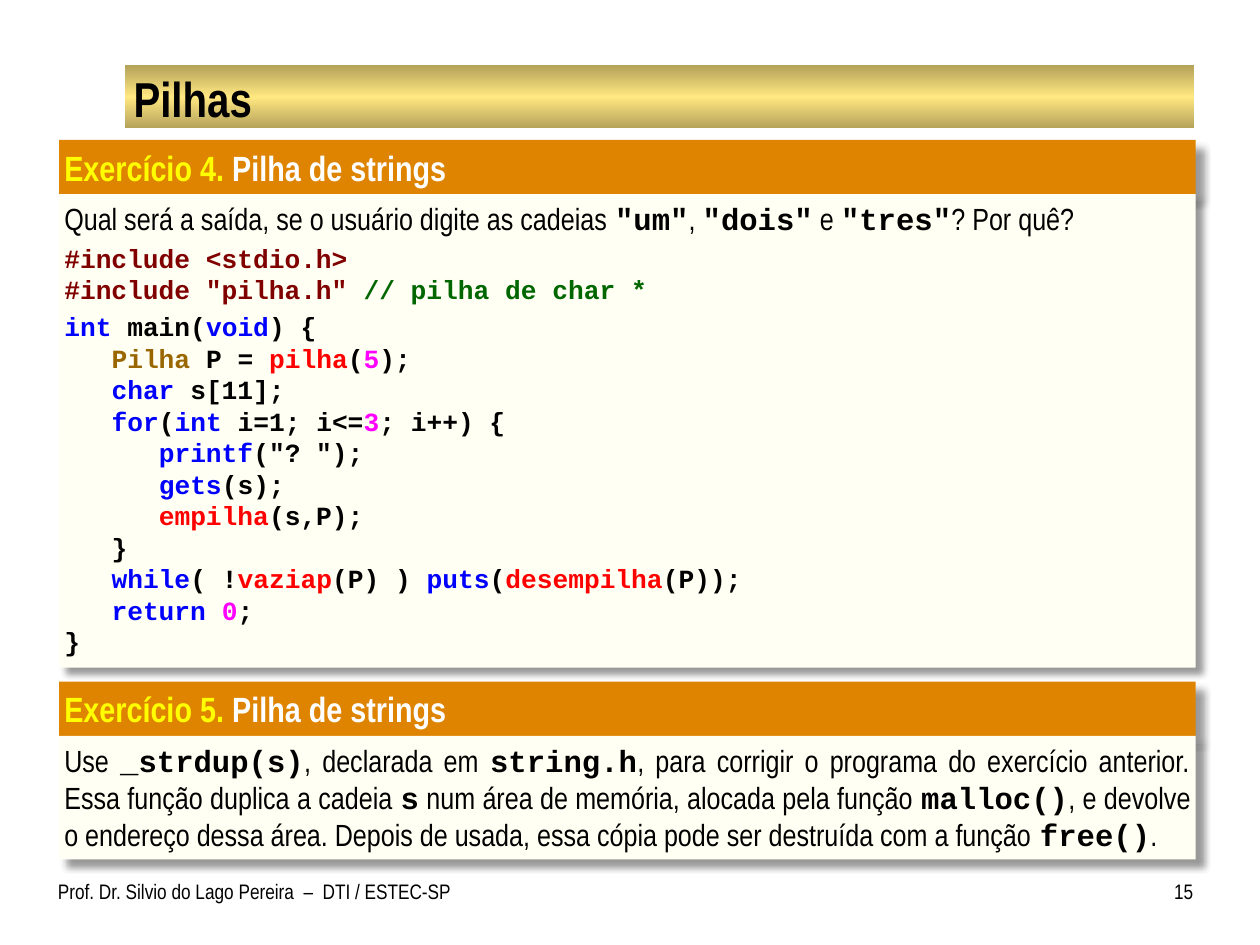
from lxml import etree
from pptx import Presentation
from pptx import util as u
from pptx.dml.color import RGBColor
from pptx.enum import shapes, text
from pptx.oxml import parse_xml
from pptx.oxml.ns import nsdecls, qn

HUES = {"k": "000000", "b": "0000FF", "r": "FF0000", "m": "FF00FF",
        "g": "006600", "n": "800000", "o": "996600", "y": "FFFF00",
        "w": "FFFFFF", "bar": "DE8400", "page": "FFFFF3",
        "edge": "B4A25A", "gold": "FFE781"}
SANS, MONO = "Arial Narrow", "Courier New"
JUST, LEFT, RIGHT = text.PP_ALIGN.JUSTIFY, text.PP_ALIGN.LEFT, text.PP_ALIGN.RIGHT
SHADE = ('<a:outerShdw %s blurRad="50800" dist="76200" dir="2700000" algn="tl" '
         'rotWithShape="0"><a:srgbClr val="000000"><a:alpha val="40000"/>'
         '</a:srgbClr></a:outerShdw>' % nsdecls("a"))

deck = Presentation()
deck.slide_width, deck.slide_height = u.Inches(10), u.Inches(7.5)
slide = deck.slides.add_slide(deck.slide_layouts[5])


def frame(shape, left, top, right, low):
    """Set margins and wrapping; return the text frame."""
    tf = shape.text_frame
    tf.margin_left, tf.margin_top = u.Inches(left), u.Inches(top)
    tf.margin_right, tf.margin_bottom = u.Inches(right), u.Inches(low)
    tf.word_wrap = True
    tf.vertical_anchor = text.MSO_ANCHOR.TOP
    return tf


def style(para, size, face, bold, align):
    """Set the font and alignment of a paragraph."""
    font = para.font
    font.size, font.name, font.bold = u.Pt(size), face, bold
    font.color.rgb = RGBColor.from_string(HUES["k"])
    para.alignment = align


# Gold band behind the title
band = slide.shapes.add_shape(shapes.MSO_SHAPE.RECTANGLE, u.Inches(0.99),
                              u.Inches(0.52), u.Inches(8.49), u.Inches(0.5))
band.shadow.inherit = False
band.line.fill.background()
band.fill.gradient()
band.fill.gradient_angle = 90
stops = band._element.spPr.find(qn("a:gradFill")).find(qn("a:gsLst"))
for stop in list(stops):
    stops.remove(stop)
for pos, hue in ((0, "edge"), (50, "gold"), (100, "edge")):
    stop = etree.SubElement(stops, qn("a:gs"), pos=str(pos * 1000))
    etree.SubElement(stop, qn("a:srgbClr"), val=HUES[hue])
tree = slide.shapes._spTree
tree.remove(band._element)
tree.insert(2, band._element)

# Title
title = slide.shapes.title
title.left, title.top = u.Inches(1), u.Inches(0.54)
title.width, title.height = u.Inches(8.47), u.Inches(0.47)
tf = frame(title, 0.06, 0.01, 0.06, 0.01)
tf.vertical_anchor = text.MSO_ANCHOR.MIDDLE
tf.auto_size = text.MSO_AUTO_SIZE.NONE
tf.text = "Pilhas"
style(tf.paragraphs[0], 28, SANS, True, LEFT)

# Exercises: in the prose, backquotes mark monospaced words
tasks = [
    ("Exercício 4.", 1.11, 3.76,
     'Qual será a saída, se o usuário digite as cadeias `"um"`, `"dois"` e '
     '`"tres"`? Por quê?'),
    ("Exercício 5.", 5.41, 0.98,
     "Use `_strdup(s)`, declarada em `string.h`, para corrigir o programa do "
     "exercício anterior. Essa função duplica a cadeia `s` num área de memória, "
     "alocada pela função `malloc()`, e devolve o endereço dessa área. Depois de "
     "usada, essa cópia pode ser destruída com a função `free()`."),
]
bodies = []
for name, top, tall, prose in tasks:
    pair = []
    for y, high, hue, right in ((top, 0.44, "bar", 0.1),
                                (top + 0.43, tall, "page", 0.04)):
        box = slide.shapes.add_shape(shapes.MSO_SHAPE.RECTANGLE, u.Inches(0.47),
                                     u.Inches(y), u.Inches(9.02), u.Inches(high))
        box.fill.solid()
        box.fill.fore_color.rgb = RGBColor.from_string(HUES[hue])
        box.line.fill.background()
        box.shadow.inherit = False
        box._element.spPr.find(qn("a:effectLst")).append(parse_xml(SHADE))
        tf = frame(box, 0.04, 0.05, right, 0.05)
        tf.auto_size = text.MSO_AUTO_SIZE.SHAPE_TO_FIT_TEXT
        pair.append(tf)
    head, body = pair
    bodies.append(body)

    para = head.paragraphs[0]
    style(para, 20, SANS, True, LEFT)
    for words, hue in ((name, "y"), (" Pilha de strings", "w")):
        run = para.add_run()
        run.text = words
        run.font.color.rgb = RGBColor.from_string(HUES[hue])

    para = body.paragraphs[0]
    style(para, 17.5, SANS, False, JUST)
    for i, words in enumerate(prose.split("`")):
        run = para.add_run()
        run.text = words
        if i % 2:
            run.font.name, run.font.bold = MONO, True

# Program: indent level, space before, then parts led by a colour key
code = [
    (0, 3, "n#include <stdio.h>"),
    (0, 0, 'n#include "pilha.h" |g// pilha de char *'),
    (0, 3, "bint|k main(|bvoid|k) {"),
    (1, 0, "oPilha|k P = |rpilha|k(|m5|k);"),
    (1, 0, "bchar|k s[11];"),
    (1, 0, "bfor|k(|bint |ki=1; i<=|m3|k; i++) {"),
    (2, 0, 'bprintf|k("? ");'),
    (2, 0, "bgets|k(s);"),
    (2, 0, "rempilha|k(s,P);"),
    (1, 0, "k}"),
    (1, 0, "bwhile|k( !|rvaziap|k(P) ) |bputs|k(|rdesempilha|k(P));"),
    (1, 0, "breturn |m0|k;"),
    (0, 0, "k}"),
]
for level, gap, line in code:
    para = bodies[0].add_paragraph()
    style(para, 15, MONO, True, JUST)
    para.space_before = u.Pt(gap)
    para._p.get_or_add_pPr().set("marL", str(u.Pt(27 * level)))
    for part in line.split("|"):
        run = para.add_run()
        run.text = part[1:]
        run.font.color.rgb = RGBColor.from_string(HUES[part[0]])

# Footer and page number
for words, left, wide, pad, align in (
        ("Prof. Dr. Silvio do Lago Pereira  –  DTI / ESTEC-SP", 0.46, 3.27, (0, 0.1), LEFT),
        ("15", 9.08, 0.39, (0.1, 0), RIGHT)):
    note = slide.shapes.add_textbox(u.Inches(left), u.Inches(6.92),
                                    u.Inches(wide), u.Inches(0.42))
    tf = frame(note, pad[0], 0.05, pad[1], 0.05)
    tf.text = words
    style(tf.paragraphs[0], 12, SANS, False, align)

deck.save("out.pptx")
